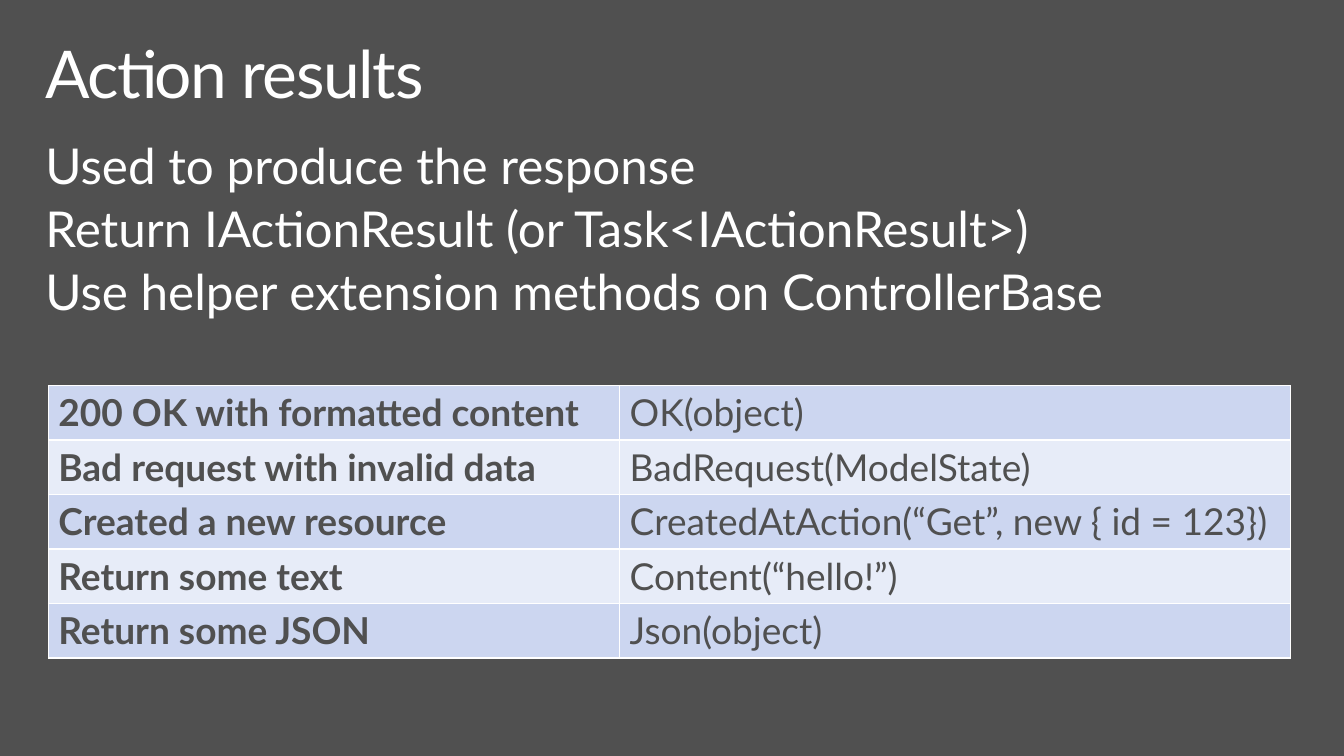
from dataclasses import dataclass

from lxml import etree
from pptx import Presentation
from pptx import util as u
from pptx.dml import color
from pptx.enum import text
from pptx.oxml import ns


@dataclass(frozen=True)
class Theme:
    font: str = "Lato"
    dark: str = "505050"
    light: str = "FFFFFF"
    bands: tuple = ("CCD6F0", "E7ECF8")
    title_size: float = 48
    body_size: float = 36
    table_size: float = 27
    border_width: float = 1
    line_spacing: float = 0.9


@dataclass(frozen=True)
class Box:
    left: float
    top: float
    width: float
    height: float

    def lengths(self):
        return [u.Pt(n) for n in (self.left, self.top, self.width, self.height)]


THEME = Theme()
SLIDE_WIDTH, SLIDE_HEIGHT = 979.2, 550.8
TITLE = "Action results"
POINTS = [
    "Used to produce the response",
    "Return IActionResult (or Task<IActionResult>)",
    "Use helper extension methods on ControllerBase",
]
RESULTS = [
    ("200 OK with formatted content", "OK(object)"),
    ("Bad request with invalid data", "BadRequest(ModelState)"),
    ("Created a new resource", "CreatedAtAction(“Get”, new { id = 123})"),
    ("Return some text", "Content(“hello!”)"),
    ("Return some JSON", "Json(object)"),
]


def rgb(value):
    return color.RGBColor.from_string(value)


def style_paragraph(paragraph, size, ink, bold=False):
    paragraph.alignment = text.PP_ALIGN.LEFT
    font = paragraph.font
    font.name = THEME.font
    font.size = u.Pt(size)
    font.bold = bold
    font.color.rgb = rgb(ink)


def place_text(placeholder, box, lines, size):
    placeholder.left, placeholder.top, placeholder.width, placeholder.height = box.lengths()
    frame = placeholder.text_frame
    frame.word_wrap = True
    frame.auto_size = text.MSO_AUTO_SIZE.NONE
    frame.vertical_anchor = text.MSO_ANCHOR.TOP
    frame.margin_left = frame.margin_right = u.Pt(11.5)
    frame.margin_top = frame.margin_bottom = u.Pt(7.2)
    frame.text = "\n".join(lines)
    for paragraph in frame.paragraphs:
        paragraph.line_spacing = THEME.line_spacing
        style_paragraph(paragraph, size, THEME.light)
    return frame


def add_title(slide, box):
    frame = place_text(slide.shapes.title, box, [TITLE], THEME.title_size)
    frame.paragraphs[0].runs[0].font._element.set("spc", "-100")


def add_points(slide, box):
    frame = place_text(slide.placeholders[1], box, POINTS, THEME.body_size)
    for paragraph in frame.paragraphs:
        paragraph.space_before = u.Pt(0.2 * THEME.body_size)
        properties = paragraph._p.get_or_add_pPr()
        properties.set("marL", "0")
        properties.set("indent", "0")
        no_bullet = etree.Element(ns.qn("a:buNone"))
        properties.find(ns.qn("a:defRPr")).addprevious(no_bullet)


def add_borders(cell):
    properties = cell._tc.get_or_add_tcPr()
    for position, side in enumerate(("lnL", "lnR", "lnT", "lnB")):
        line = etree.Element(ns.qn(f"a:{side}"), w=str(u.Pt(THEME.border_width)))
        fill = etree.SubElement(line, ns.qn("a:solidFill"))
        etree.SubElement(fill, ns.qn("a:srgbClr"), val=THEME.light)
        properties.insert(position, line)


def add_results(slide, box):
    table = slide.shapes.add_table(len(RESULTS), 2, *box.lengths()).table
    table.first_row = False
    label_width = 0.46 * box.width
    table.columns[0].width = u.Pt(label_width)
    table.columns[1].width = u.Pt(box.width - label_width)
    for row, result in enumerate(RESULTS):
        for column, wording in enumerate(result):
            cell = table.cell(row, column)
            cell.text = wording
            cell.fill.solid()
            cell.fill.fore_color.rgb = rgb(THEME.bands[row % 2])
            add_borders(cell)
            style_paragraph(cell.text_frame.paragraphs[0], THEME.table_size,
                            THEME.dark, bold=column == 0)


def build_action_results(slide, box):
    background = slide.background.fill
    background.solid()
    background.fore_color.rgb = rgb(THEME.dark)
    left = box.left + 21.6
    text_width = box.width - 2 * 21.6
    add_title(slide, Box(left, box.top + 23, text_width, 72))
    add_points(slide, Box(left, box.top + 95.8, text_width, 181.4))
    add_results(slide, Box(box.left + 35.3, box.top + 280.8, 905, 198.7))


def main():
    deck = Presentation()
    deck.slide_width = u.Pt(SLIDE_WIDTH)
    deck.slide_height = u.Pt(SLIDE_HEIGHT)
    slide = deck.slides.add_slide(deck.slide_layouts[1])
    build_action_results(slide, Box(0, 0, SLIDE_WIDTH, SLIDE_HEIGHT))
    deck.save("out.pptx")


if __name__ == "__main__":
    main()
